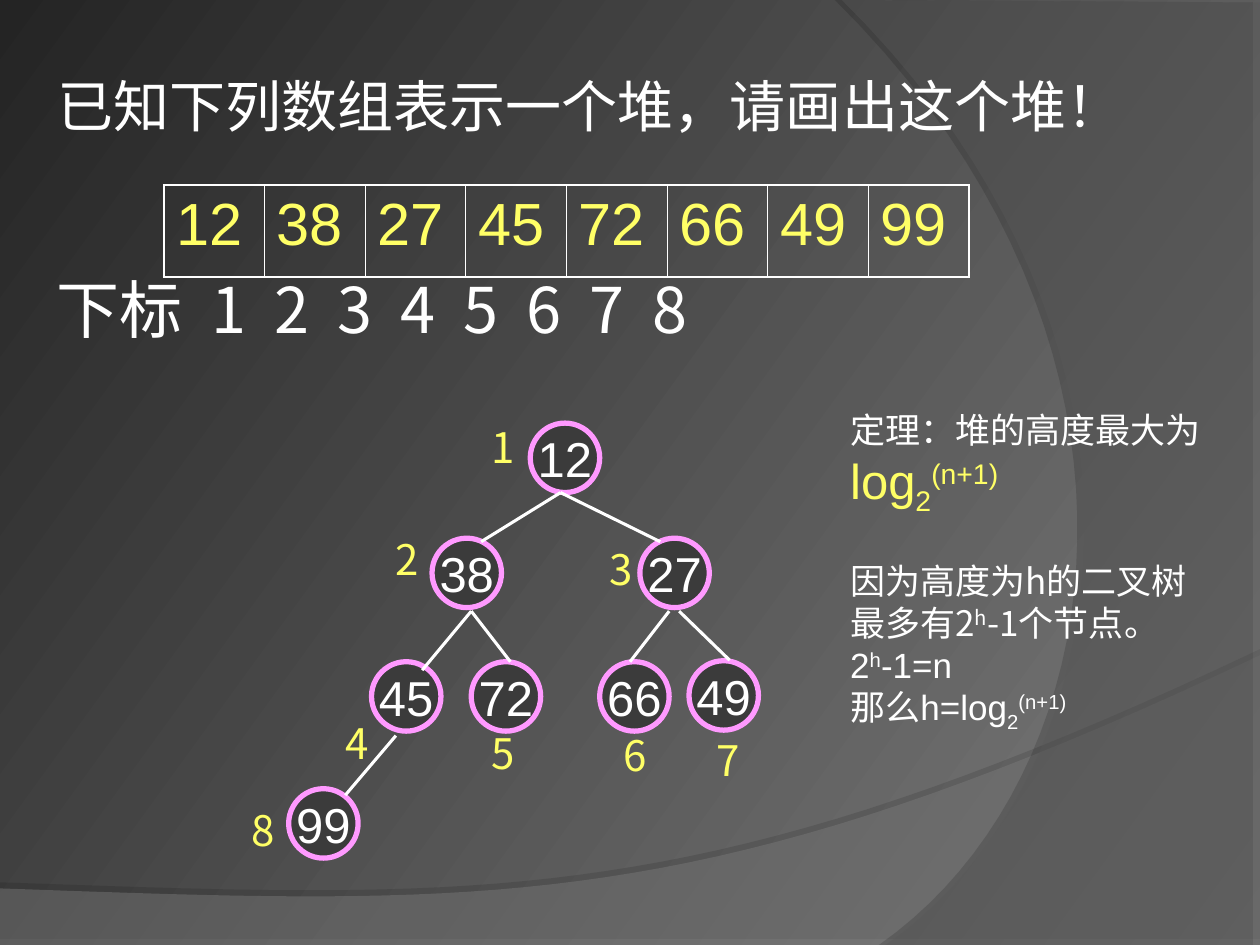
from dataclasses import dataclass
from lxml.etree import SubElement
from pptx import Presentation
from pptx.dml.color import RGBColor
from pptx.enum.shapes import MSO_CONNECTOR, MSO_SHAPE
from pptx.enum.text import MSO_ANCHOR, MSO_AUTO_SIZE, PP_ALIGN
from pptx.oxml.ns import qn
from pptx.util import Cm, Pt


@dataclass(frozen=True)
class Theme:
    dark: str = "242424"
    light: str = "7D7D7D"
    wave: str = "7C7C7C"
    arc: str = "595959"
    node: str = "3B3B3B"
    ring: str = "FF99FF"
    white: str = "FFFFFF"
    gold: str = "FFFF66"
    latin: str = "Arial"
    han: str = "Noto Sans CJK SC"
    title: int = 32
    cell: int = 34
    index: int = 36
    value: int = 28
    label: int = 24
    note: int = 20


def rgb(code):
    return RGBColor.from_string(code)


def write(para, text, size, color, font, base=0):
    run = para.add_run()
    run.text = text
    run.font.size = Pt(size)
    run.font.name = font
    run.font.color.rgb = rgb(color)
    props = run._r.get_or_add_rPr()
    SubElement(props, qn("a:ea"), typeface=Theme.han)
    if base:
        props.set("baseline", str(base * 1000))


def mix(ends, t):
    a, b, c, d = ends
    u = 1 - t
    return u**3 * a + 3 * u * u * t * b + 3 * u * t * t * c + t**3 * d


def curve(*knots, steps=40):
    return [tuple(mix(axis, i / steps) for axis in zip(*knots)) for i in range(steps + 1)]


class Deck:
    def __init__(self, prs, theme):
        self.theme = theme
        self.slide = prs.slides.add_slide(prs.slide_layouts[5])
        self.shapes = self.slide.shapes

    def ground(self):
        fill = self.slide.background.fill
        fill.gradient()
        fill.gradient_angle = 324
        for stop, spot, code in zip(fill.gradient_stops, (0, 1), (self.theme.dark, self.theme.light)):
            stop.position = spot
            stop.color.rgb = rgb(code)

    def sweep(self, points, color, alpha, shade, far, angle):
        spots = [(Cm(x), Cm(y)) for x, y in points]
        pen = self.shapes.build_freeform(*spots[0])
        pen.add_line_segments(spots[1:], close=True)
        shape = pen.convert_to_shape()
        shape.fill.solid()
        shape.fill.fore_color.rgb = rgb(color)
        shape.line.fill.background()
        shape.shadow.inherit = False
        props = shape._element.spPr
        SubElement(props.find(".//" + qn("a:srgbClr")), qn("a:alpha"), val=str(alpha * 1000))
        glow = SubElement(props.find(qn("a:effectLst")), qn("a:outerShdw"), blurRad="0",
                          dist=str(Pt(far)), dir=str(angle * 60000), algn="ctr", rotWithShape="0")
        tint = SubElement(glow, qn("a:srgbClr"), val="000000")
        SubElement(tint, qn("a:alpha"), val=str(shade * 1000))

    def title(self, text, x, y, w, h):
        box = self.shapes.title
        self.shapes._spTree.append(box._element)
        box.left, box.top, box.width, box.height = Cm(x), Cm(y), Cm(w), Cm(h)
        frame = box.text_frame
        frame.auto_size = MSO_AUTO_SIZE.NONE
        frame.vertical_anchor = MSO_ANCHOR.TOP
        para = frame.paragraphs[0]
        para.alignment = PP_ALIGN.LEFT
        write(para, text, size=self.theme.title, color=self.theme.white, font=self.theme.han)

    def text(self, x, y, w, h, wrap=True, anchor=MSO_ANCHOR.TOP):
        frame = self.shapes.add_textbox(Cm(x), Cm(y), Cm(w), Cm(h)).text_frame
        frame.word_wrap = wrap
        frame.vertical_anchor = anchor
        return frame

    def label(self, text, x, y):
        frame = self.text(x, y, 0.91, 1.27, wrap=False, anchor=MSO_ANCHOR.MIDDLE)
        para = frame.paragraphs[0]
        para.alignment = PP_ALIGN.CENTER
        write(para, text, size=self.theme.label, color=self.theme.gold, font=self.theme.han)

    def index(self, head, count, x, y, w, h, first, step):
        para = self.text(x, y, w, h).paragraphs[0]
        tabs = SubElement(para._p.get_or_add_pPr(), qn("a:tabLst"))
        for i in range(count):
            SubElement(tabs, qn("a:tab"), pos=str(Cm(first + i * step)), algn="l")
        words = [head] + [str(i + 1) for i in range(count)]
        write(para, "\t".join(words), size=self.theme.index, color=self.theme.white, font=self.theme.han)

    def note(self, rows, gaps, x, y, w, h):
        frame = self.text(x, y, w, h, anchor=MSO_ANCHOR.MIDDLE)
        for i, row in enumerate(rows):
            para = frame.add_paragraph() if i else frame.paragraphs[0]
            if i in gaps:
                para.space_before = Pt(gaps[i])
            for text, style in row:
                write(para, text, **style)

    def node(self, text, x, y, size=1.4):
        shape = self.shapes.add_shape(MSO_SHAPE.OVAL, Cm(x), Cm(y), Cm(size), Cm(size))
        shape.shadow.inherit = False
        shape.fill.solid()
        shape.fill.fore_color.rgb = rgb(self.theme.node)
        shape.line.color.rgb = rgb(self.theme.ring)
        shape.line.width = Pt(3)
        frame = shape.text_frame
        frame.word_wrap = False
        frame.vertical_anchor = MSO_ANCHOR.MIDDLE
        para = frame.paragraphs[0]
        para.alignment = PP_ALIGN.CENTER
        write(para, text, size=self.theme.value, color=self.theme.white, font=self.theme.latin)

    def edge(self, *ends):
        line = self.shapes.add_connector(MSO_CONNECTOR.STRAIGHT, *map(Cm, ends))
        line.line.color.rgb = rgb(self.theme.white)
        line.line.width = Pt(1.75)
        SubElement(line._element.spPr, qn("a:effectLst"))

    def table(self, values, x, y, w, h):
        count = len(values)
        grid = self.shapes.add_table(1, count, Cm(x), Cm(y), Cm(w * count), Cm(h)).table
        grid.first_row = grid.horz_banding = False
        for i, value in enumerate(values):
            grid.columns[i].width = Cm(w)
            cell = grid.cell(0, i)
            write(cell.text_frame.paragraphs[0], value, size=self.theme.cell,
                  color=self.theme.gold, font=self.theme.latin)
            props = cell._tc.get_or_add_tcPr()
            thick = {"L": i == 0, "R": i == count - 1, "T": True, "B": True}
            for side, bold in thick.items():
                line = SubElement(props, qn("a:ln" + side), w=str(Pt(1.08 if bold else 0.45)))
                SubElement(SubElement(line, qn("a:solidFill")), qn("a:srgbClr"), val=self.theme.white)
            cell.fill.background()


def main():
    prs = Presentation()
    prs.slide_width, prs.slide_height = Cm(25.4), Cm(19.05)
    theme = Theme()
    deck = Deck(prs, theme)
    deck.ground()
    wave = curve((25.4, 13.21), (14.2, 18.52), (9.93, 18.26), (0, 17.91))
    deck.sweep([(0, 19.05), (25.4, 19.05)] + wave, theme.wave, 45, 25, 3.5, 270)
    arc = curve((17.86, 19.05), (22.63, 15.72), (24.05, 6.99), (16.97, 0))
    deck.sweep([(25.4, 0.05), (25.4, 19.05)] + arc, theme.arc, 40, 35, 4, 180)

    heap = ["12", "38", "27", "45", "72", "66", "49", "99"]
    deck.table(heap, 3.3, 3.73, 2.03, 1.85)
    deck.title("已知下列数组表示一个堆，请画出这个堆！", 0.91, 1.32, 22.61, 1.63)
    deck.index("下标", len(heap), 0.89, 5.33, 19.61, 3.3, first=3.12, step=1.27)

    nodes = [(10.69, 8.53), (8.71, 10.85), (12.9, 10.85), (7.49, 13.34),
             (9.5, 13.34), (12.09, 13.34), (13.89, 13.32), (5.82, 15.9)]
    labels = [(9.65, 8.38), (7.72, 10.62), (12.04, 10.82), (6.71, 14.33),
              (9.65, 14.53), (12.32, 14.58), (14.2, 14.68), (4.83, 16.1)]
    edges = [(11.3, 9.93, 9.7, 10.92), (11.3, 9.93, 13.31, 10.92),
             (13.49, 12.32, 12.7, 13.34), (13.69, 12.32, 14.71, 13.31),
             (9.5, 12.32, 10.29, 13.34), (9.5, 12.32, 8.51, 13.51),
             (7.98, 14.83, 6.96, 16.03)]
    for value, spot in zip(heap, nodes):
        deck.node(value, *spot)
    for ends in edges:
        deck.edge(*ends)
    for i, spot in enumerate(labels, 1):
        deck.label(str(i), *spot)

    han = dict(size=theme.note, color=theme.white, font=theme.han)
    plain = dict(han, font=theme.latin)
    key = dict(size=theme.value, color=theme.gold, font=theme.latin)
    low, high = dict(base=-25), dict(base=30)
    rows = [
        [("定理：堆的高度最大为", han), ("log", key), ("2", key | low), ("(n+1)", key | high)],
        [("因为高度为h的二叉树最多有2", han), ("h", han | high), ("-1个节点。", han)],
        [("2", plain), ("h", plain | high), ("-1=n", plain)],
        [("那么h=log", plain), ("2", plain | low), ("(n+1)", plain | high)],
    ]
    deck.note(rows, {1: 24}, 16.89, 8.1, 7.8, 6.81)
    prs.save("out.pptx")


if __name__ == "__main__":
    main()
